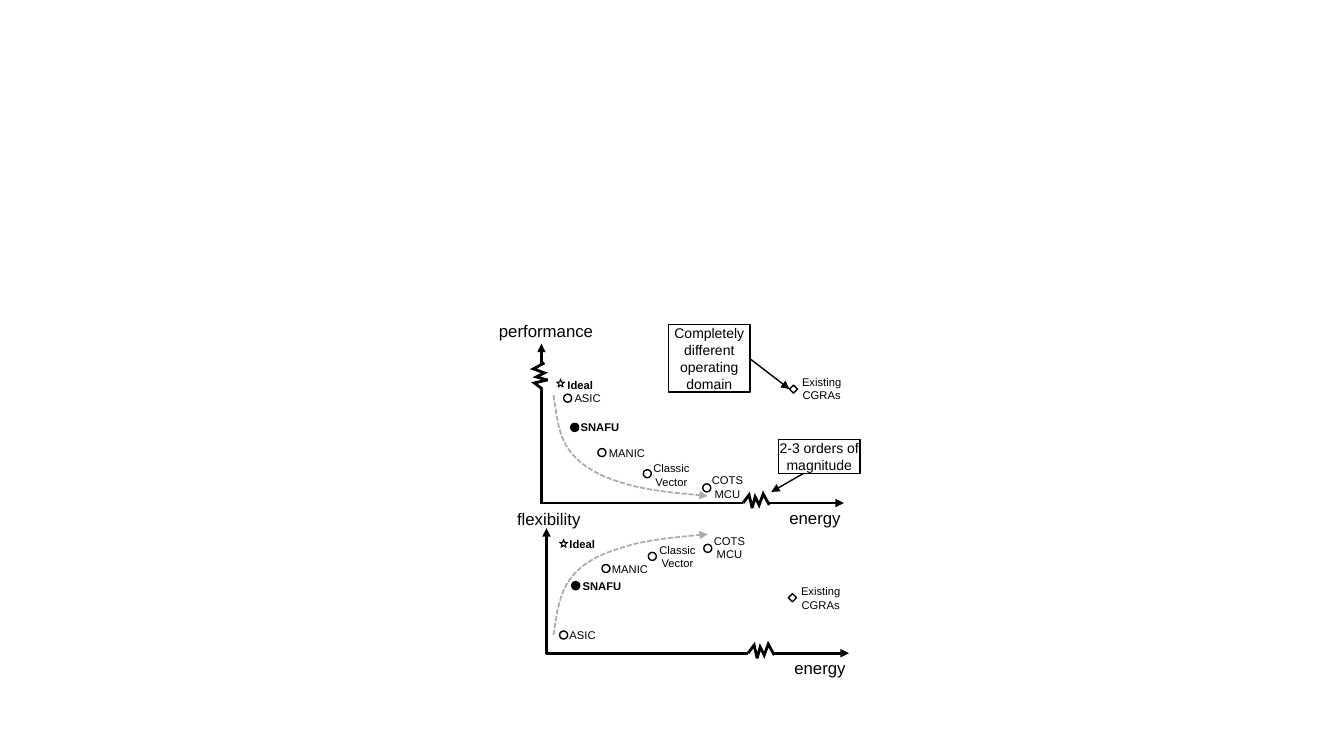
from dataclasses import dataclass

import pptx
import pptx.dml.color
import pptx.enum.dml
import pptx.enum.shapes
import pptx.enum.text
import pptx.oxml
import pptx.oxml.ns
import pptx.util
from pptx.util import Inches

SHAPES = pptx.enum.shapes.MSO_SHAPE
CENTER = pptx.enum.text.PP_ALIGN.CENTER
LEFT = pptx.enum.text.PP_ALIGN.LEFT


@dataclass(frozen=True)
class Theme:
    font: str = "Arial"
    ink: str = "000000"
    paper: str = "FFFFFF"
    trend: str = "AFABAB"
    axis_size: int = 12
    callout_size: int = 10
    label_size: int = 8
    axis_line: float = 2
    trend_line: float = 1.25
    thin_line: float = 1
    star_line: float = 0.75


THEME = Theme()
MARKER_SIZE = 0.08

# design: (label text, label width, marker shape, highlighted)
DESIGNS = {
    "ideal": ("Ideal", 0.46, SHAPES.STAR_5_POINT, True),
    "asic": ("ASIC", 0.46, SHAPES.OVAL, False),
    "snafu": ("SNAFU", 0.59, SHAPES.OVAL, True),
    "manic": ("MANIC", 0.56, SHAPES.OVAL, False),
    "vector": ("Classic\nVector", 0.56, SHAPES.OVAL, False),
    "mcu": ("COTS\nMCU", 0.51, SHAPES.OVAL, False),
    "cgra": ("Existing\nCGRAs", 0.6, SHAPES.DIAMOND, False),
}

# design: (marker left and top, label left and top)
PERFORMANCE_POINTS = {
    "ideal": ((5.52, 3.76), (5.53, 3.7)),
    "asic": ((5.59, 3.91), (5.6, 3.83)),
    "snafu": ((5.66, 4.2), (5.66, 4.12)),
    "manic": ((5.93, 4.45), (5.94, 4.38)),
    "vector": ((6.38, 4.66), (6.38, 4.53)),
    "mcu": ((6.97, 4.8), (6.96, 4.65)),
    "cgra": ((7.83, 3.82), (7.85, 3.67)),
}
FLEXIBILITY_POINTS = {
    "ideal": ((5.55, 5.35), (5.55, 5.28)),
    "asic": ((5.55, 6.26), (5.55, 6.18)),
    "snafu": ((5.67, 5.77), (5.68, 5.7)),
    "manic": ((5.97, 5.6), (5.97, 5.53)),
    "vector": ((6.43, 5.48), (6.44, 5.34)),
    "mcu": ((6.98, 5.4), (6.98, 5.25)),
    "cgra": ((7.82, 5.89), (7.84, 5.75)),
}

# Start point, then two control points and an end point per segment
PERFORMANCE_TREND = [
    (5.49, 3.92), (5.52, 4.12), (5.54, 4.33), (5.65, 4.47), (5.76, 4.62),
    (5.92, 4.71), (6.14, 4.78), (6.37, 4.86), (6.69, 4.89), (7.02, 4.92),
]
FLEXIBILITY_TREND = [
    (5.49, 6.3), (5.52, 6.09), (5.55, 5.89), (5.65, 5.75), (5.76, 5.6),
    (5.92, 5.51), (6.15, 5.44), (6.37, 5.36), (6.7, 5.33), (7.02, 5.3),
]
ZIGZAG = [(0, 0), (0.06, -0.08), (0.09, 0.05), (0.12, -0.06),
          (0.16, 0.02), (0.2, -0.09), (0.26, 0.02)]


def color(value):
    return pptx.dml.color.RGBColor.from_string(value)


def append_xml(parent, tag, **attributes):
    element = pptx.oxml.parse_xml(f"<a:{tag} {pptx.oxml.ns.nsdecls('a')}/>")
    for name, value in attributes.items():
        element.set(name, value)
    parent.append(element)
    return element


def style_line(shape, line_color, width):
    shape.line.color.rgb = color(line_color)
    shape.line.width = pptx.util.Pt(width)
    return shape.element.spPr.find(pptx.oxml.ns.qn("a:ln"))


def add_arrow(slide, start, end, width):
    arrow = slide.shapes.add_connector(
        pptx.enum.shapes.MSO_CONNECTOR.STRAIGHT, *map(Inches, (*start, *end)))
    append_xml(style_line(arrow, THEME.ink, width), "tailEnd", type="triangle")
    append_xml(arrow.element.spPr, "effectLst")


def add_preset(slide, preset, box, fill, line_width=None):
    shape = slide.shapes.add_shape(preset, *map(Inches, box))
    shape.shadow.inherit = False
    shape.fill.solid()
    shape.fill.fore_color.rgb = color(fill)
    if line_width is None:
        shape.line.fill.background()
    else:
        style_line(shape, THEME.ink, line_width)
    return shape


def write_text(text_frame, text, size, alignment, bold=False):
    text_frame.text = text
    for paragraph in text_frame.paragraphs:
        paragraph.alignment = alignment
        for run in paragraph.runs:
            run.font.name = THEME.font
            run.font.size = pptx.util.Pt(size)
            run.font.bold = bold
            run.font.color.rgb = color(THEME.ink)


def add_label(slide, text, box, size, alignment=LEFT, bold=False):
    text_frame = slide.shapes.add_textbox(*map(Inches, box)).text_frame
    write_text(text_frame, text, size, alignment, bold)
    text_frame.word_wrap = False
    text_frame.auto_size = pptx.enum.text.MSO_AUTO_SIZE.SHAPE_TO_FIT_TEXT


def add_callout(slide, text, box):
    text_frame = add_preset(
        slide, SHAPES.RECTANGLE, box, THEME.paper, THEME.thin_line).text_frame
    text_frame.margin_left = text_frame.margin_right = 0
    text_frame.margin_top = text_frame.margin_bottom = 0
    text_frame.word_wrap = True
    write_text(text_frame, text, THEME.callout_size, CENTER)


def add_open_outline(slide, points):
    start, *others = [(Inches(x), Inches(y)) for x, y in points]
    builder = slide.shapes.build_freeform(*start)
    builder.add_line_segments(others, close=False)
    outline = builder.convert_to_shape()
    outline.shadow.inherit = False
    outline.fill.background()
    return outline


def add_trend(slide, points):
    """Draw a dashed Bézier arrow by joining line segments in threes."""
    trend = add_open_outline(slide, points)
    segments = list(trend.element.iter(pptx.oxml.ns.qn("a:lnTo")))
    outline_path = segments[0].getparent()
    for first in range(0, len(segments), 3):
        curve = append_xml(outline_path, "cubicBezTo")
        for segment in segments[first:first + 3]:
            curve.append(segment[0])
            outline_path.remove(segment)
    line = style_line(trend, THEME.trend, THEME.trend_line)
    trend.line.dash_style = pptx.enum.dml.MSO_LINE.SQUARE_DOT
    append_xml(line, "tailEnd", type="triangle")


def add_axis_break(slide, x, y, vertical=False):
    mask = (x - 0.06, y - 0.25, 0.17, 0.25) if vertical else (x, y - 0.06, 0.25, 0.17)
    add_preset(slide, SHAPES.RECTANGLE, mask, THEME.paper)
    points = [(x + dy, y - dx) if vertical else (x + dx, y + dy) for dx, dy in ZIGZAG]
    line = style_line(add_open_outline(slide, points), THEME.ink, THEME.axis_line)
    append_xml(line, "miter", lim="800000")


def add_design(slide, design, marker_at, label_at):
    text, width, preset, highlighted = DESIGNS[design]
    two_lines = "\n" in text
    add_label(slide, text, (*label_at, width, 0.37 if two_lines else 0.24),
              THEME.label_size, CENTER if two_lines else LEFT, highlighted)
    fill = THEME.ink if design == "snafu" else THEME.paper
    line_width = THEME.star_line if design == "ideal" else THEME.thin_line
    add_preset(slide, preset, (*marker_at, MARKER_SIZE, MARKER_SIZE), fill, line_width)


def add_plot(slide, origin, axis_top, title, title_box, points, trend):
    x, y = origin
    add_arrow(slide, (x, y + 0.01), (x, axis_top), THEME.axis_line)
    add_arrow(slide, origin, (x + 3, y), THEME.axis_line)
    add_label(slide, title, title_box, THEME.axis_size)
    add_label(slide, "energy", (x + 2.36, y, 0.71, 0.3), THEME.axis_size)
    for design, places in points.items():
        add_design(slide, design, *places)
    add_trend(slide, trend)
    add_axis_break(slide, x + 2, y)


def main():
    presentation = pptx.Presentation()
    presentation.slide_width = Inches(13.33)
    presentation.slide_height = Inches(7.5)
    slide = presentation.slides.add_slide(presentation.slide_layouts[6])
    add_plot(slide, (5.42, 6.48), 5.24, "flexibility", (5.03, 5, 0.83, 0.3),
             FLEXIBILITY_POINTS, FLEXIBILITY_TREND)
    add_plot(slide, (5.37, 4.99), 3.41, "performance", (4.85, 3.13, 1.14, 0.3),
             PERFORMANCE_POINTS, PERFORMANCE_TREND)
    add_axis_break(slide, 5.38, 3.86, vertical=True)
    add_arrow(slide, (8.05, 4.65), (7.65, 4.88), THEME.thin_line)
    add_callout(slide, "Completely different operating domain", (6.63, 3.22, 0.81, 0.67))
    add_callout(slide, "2-3 orders of magnitude", (7.72, 4.36, 0.81, 0.34))
    add_arrow(slide, (7.44, 3.56), (7.83, 3.86), THEME.thin_line)
    presentation.save("out.pptx")


if __name__ == "__main__":
    main()
